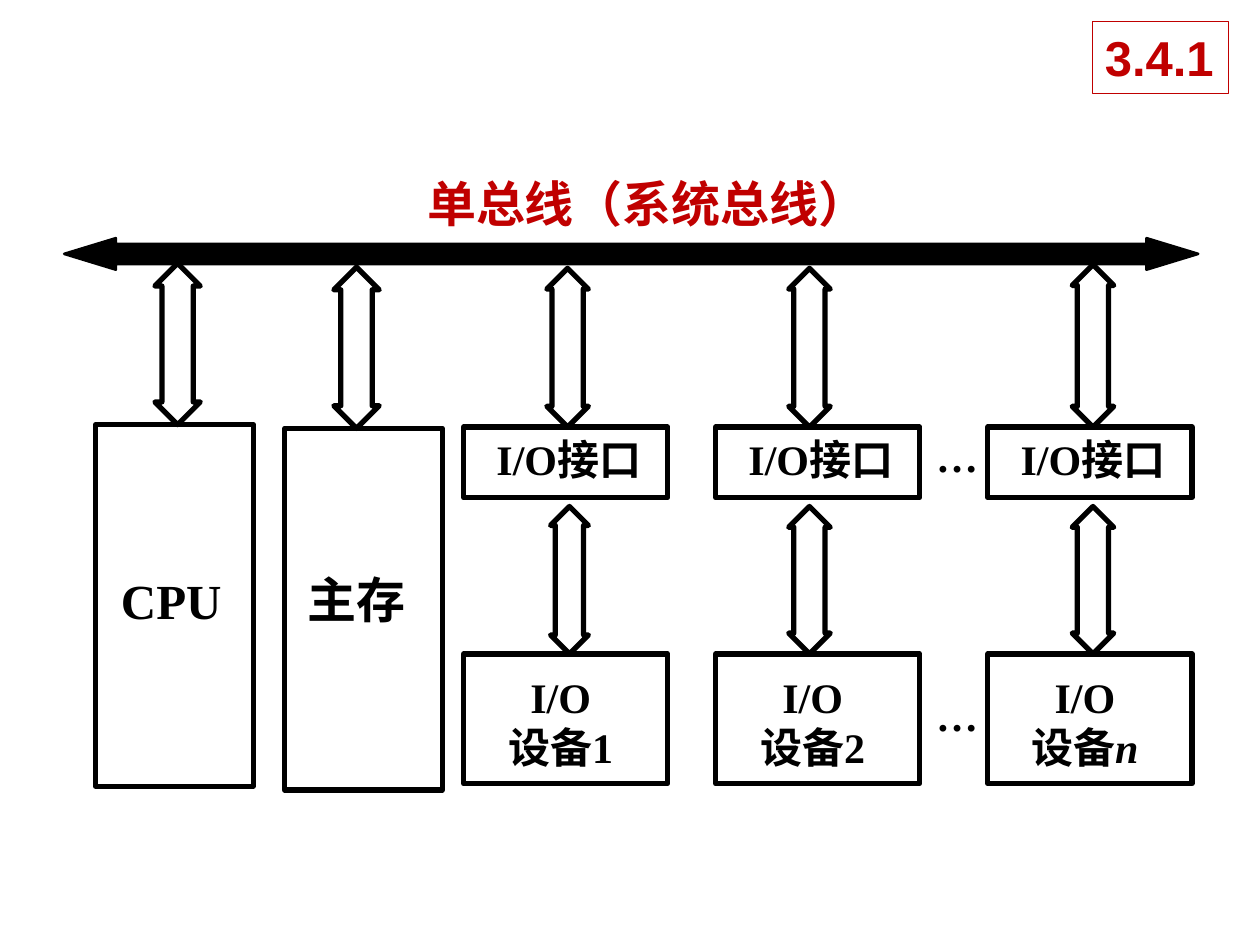
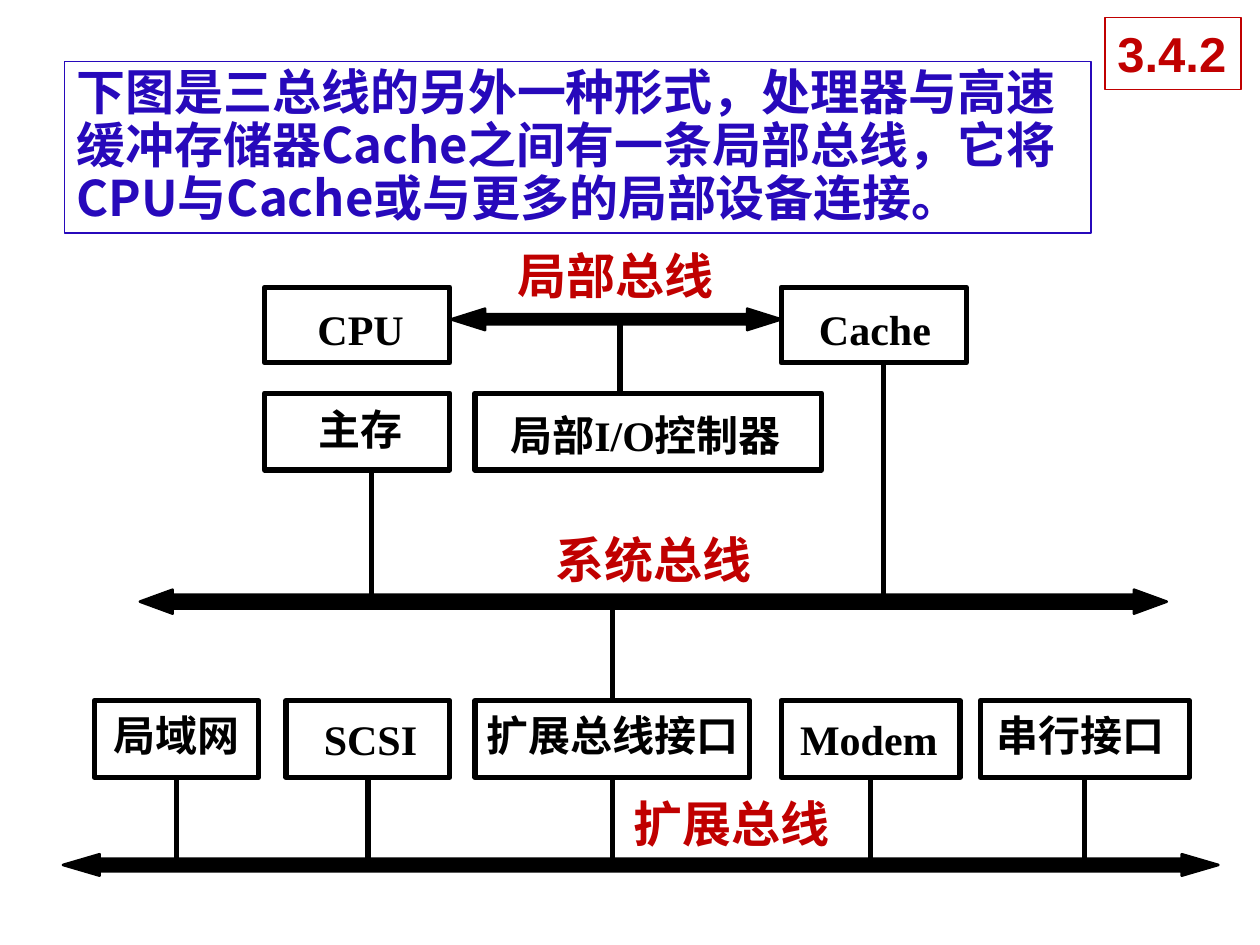
"""Build two slides on single-bus and three-bus computer structures."""
from copy import deepcopy

from lxml.etree import SubElement
from pptx import Presentation
from pptx.dml.color import RGBColor
from pptx.enum.shapes import MSO_CONNECTOR, MSO_SHAPE
from pptx.enum.text import MSO_ANCHOR, PP_ALIGN
from pptx.oxml.ns import qn
from pptx.util import Pt

PX = 9144
COLORS = {"ink": "000000", "red": "C00000", "blue": "2709BB", "paper": "FFFFFF"}
SERIF, SANS, CJK = "Times New Roman", "Arial", "Noto Sans CJK SC"


def add_box(slide, text, frame, inset=(0, 0), size=24, font=SERIF, color="ink",
            line="ink", line_width=3, fill=None):
    """Add a rectangle, or plain text when line is None."""
    place = [value * PX for value in frame]
    if line:
        shape = slide.shapes.add_shape(MSO_SHAPE.RECTANGLE, *place)
        shape.shadow.inherit = False
        shape.line.color.rgb = RGBColor.from_string(COLORS[line])
        shape.line.width = Pt(line_width)
        if fill:
            shape.fill.solid()
            shape.fill.fore_color.rgb = RGBColor.from_string(COLORS[fill])
        else:
            shape.fill.background()
    else:
        shape = slide.shapes.add_textbox(*place)
    text_frame = shape.text_frame
    text_frame.word_wrap = True
    text_frame.vertical_anchor = MSO_ANCHOR.TOP
    text_frame.margin_left, text_frame.margin_top = [value * PX for value in inset]
    text_frame.margin_right = text_frame.margin_bottom = 0
    text_frame.text = text
    for paragraph in text_frame.paragraphs:
        paragraph.alignment = PP_ALIGN.LEFT
        for run in paragraph.runs:
            run.font.size = Pt(size)
            run.font.bold = True
            run.font.name = font
            run.font.color.rgb = RGBColor.from_string(COLORS[color])
            SubElement(run.font._element, qn("a:ea")).set("typeface", CJK)
    return shape


def add_arrow(slide, preset, frame, shaft, head, line_width, filled):
    """Add a double arrow; shaft and head are shares of its thickness."""
    arrow = slide.shapes.add_shape(preset, *[value * PX for value in frame])
    arrow.shadow.inherit = False
    arrow.adjustments[0], arrow.adjustments[1] = shaft, head
    arrow.line.color.rgb = RGBColor.from_string(COLORS["ink"])
    arrow.line.width = Pt(line_width)
    if filled:
        arrow.fill.solid()
        arrow.fill.fore_color.rgb = RGBColor.from_string(COLORS["ink"])
    else:
        arrow.fill.background()


presentation = Presentation()
presentation.slide_width, presentation.slide_height = 1000 * PX, 750 * PX
blank = presentation.slide_layouts[6]
single_bus, three_bus = [presentation.slides.add_slide(blank) for _ in range(2)]

heading = {"size": 28, "font": CJK, "color": "red", "line": None}
for slide, number, left, top in [(single_bus, "3.4.1", 867, 17), (three_bus, "3.4.2", 877, 14)]:
    add_box(slide, number, (left, top, 108, 57), (10, 5), 28, SANS, "red", "red", 0.75, "paper")

for slide, name, left, top, width, bus, shaft, head in [
    (single_bus, "单总线（系统总线）", 339, 138, 360, (51, 189, 900, 25), 0.64, 1.64),
    (three_bus, "局部总线", 411, 195, 160, (358, 245, 262, 17), 0.47, 1.59),
    (three_bus, "系统总线", 441, 420, 160, (111, 468, 815, 19), 0.58, 1.37),
    (three_bus, "扩展总线", 503, 630, 160, (50, 678, 917, 17), 0.59, 1.71),
]:
    add_arrow(slide, MSO_SHAPE.LEFT_RIGHT_ARROW, bus, shaft, head, 1.5, True)
    add_box(slide, name, (left, top, width, 47), **heading)

for name, left, top, inset in [("CPU", 76, 337, (20, 116)), ("主存", 226, 340, (18, 112))]:
    add_box(single_bus, name, (left, top, 125, 287), inset, 28)
    add_arrow(single_bus, MSO_SHAPE.UP_DOWN_ARROW, (left + 47 - 8 * (left > 76), top - 128, 36, 128),
              0.5, 0.69, 3, False)

for number, left, upper_arrow, lower_arrow in [
    ("1", 368, (434, 213, 33, 126), (437, 402, 30, 117)),
    ("2", 568, (626, 213, 33, 126), (626, 402, 33, 117)),
    ("n", 784, (851, 210, 33, 129), (851, 402, 33, 117)),
]:
    add_box(single_bus, "I/O接口", (left, 339, 162, 56), (26, 5))
    device = add_box(single_bus, f"I/O\n设备{number}", (left, 519, 162, 103), (0, 14))
    device.text_frame.margin_right = 8 * PX
    for paragraph in device.text_frame.paragraphs:
        paragraph.alignment = PP_ALIGN.CENTER
    if number == "n":
        label = device.text_frame.paragraphs[1]
        label.runs[0]._r.addnext(deepcopy(label.runs[0]._r))
        label.runs[0].text, label.runs[1].text = "设备", number
        label.runs[1].font.italic = True
    for frame in (upper_arrow, lower_arrow):
        add_arrow(single_bus, MSO_SHAPE.UP_DOWN_ARROW, frame, 0.5, 0.75, 3, False)

for top in (342, 547):
    add_box(single_bus, "…", (743, top, 42, 40), line=None)

summary = add_box(
    three_bus,
    "下图是三总线的另外一种形式，处理器与高速缓冲存储器Cache之间有一条局部总线，它将CPU与Cache或与更多的局部设备连接。",
    (51, 49, 815, 136), (10, 5), 28, CJK, "blue", "blue", 0.75, "paper")
summary.text_frame.margin_right = 10 * PX
summary.text_frame.paragraphs[0].line_spacing = 0.9

boxes = {}
for name, frame, inset, font in [
    ("CPU", (210, 228, 147, 60), (42, 13), SERIF),
    ("Cache", (620, 228, 147, 60), (30, 13), SERIF),
    ("主存", (210, 312, 147, 61), (43, 8), CJK),
    ("局部I/O控制器", (377, 312, 275, 61), (28, 13), SERIF),
    ("局域网", (75, 556, 130, 61), (15, 7), CJK),
    ("SCSI", (227, 556, 130, 61), (30, 10), SERIF),
    ("扩展总线接口", (377, 556, 218, 61), (9, 7), CJK),
    ("Modem", (620, 556, 142, 61), (15, 10), SERIF),
    ("串行接口", (778, 556, 166, 61), (13, 7), CJK),
]:
    boxes[name] = add_box(three_bus, name, frame, inset, font=font)

links = [(295, 373, 477, None, None), (701, 288, 477, None, None),
         (492, 312, 253, None, None), (486, 556, 477, "扩展总线接口", 0)]
for name in ("局域网", "SCSI", "扩展总线接口", "Modem", "串行接口"):
    center = (boxes[name].left + boxes[name].width // 2) // PX
    links.append((center, 617, 687, name, 2))
for center, start, end, name, side in links:
    connector = three_bus.shapes.add_connector(
        MSO_CONNECTOR.STRAIGHT, center * PX, start * PX, center * PX, end * PX)
    if name:
        connector.begin_connect(boxes[name], side)
    connector.line.color.rgb = RGBColor.from_string(COLORS["ink"])
    connector.line.width = Pt(3)
    SubElement(connector._element.spPr, qn("a:effectLst"))

presentation.save("out.pptx")
